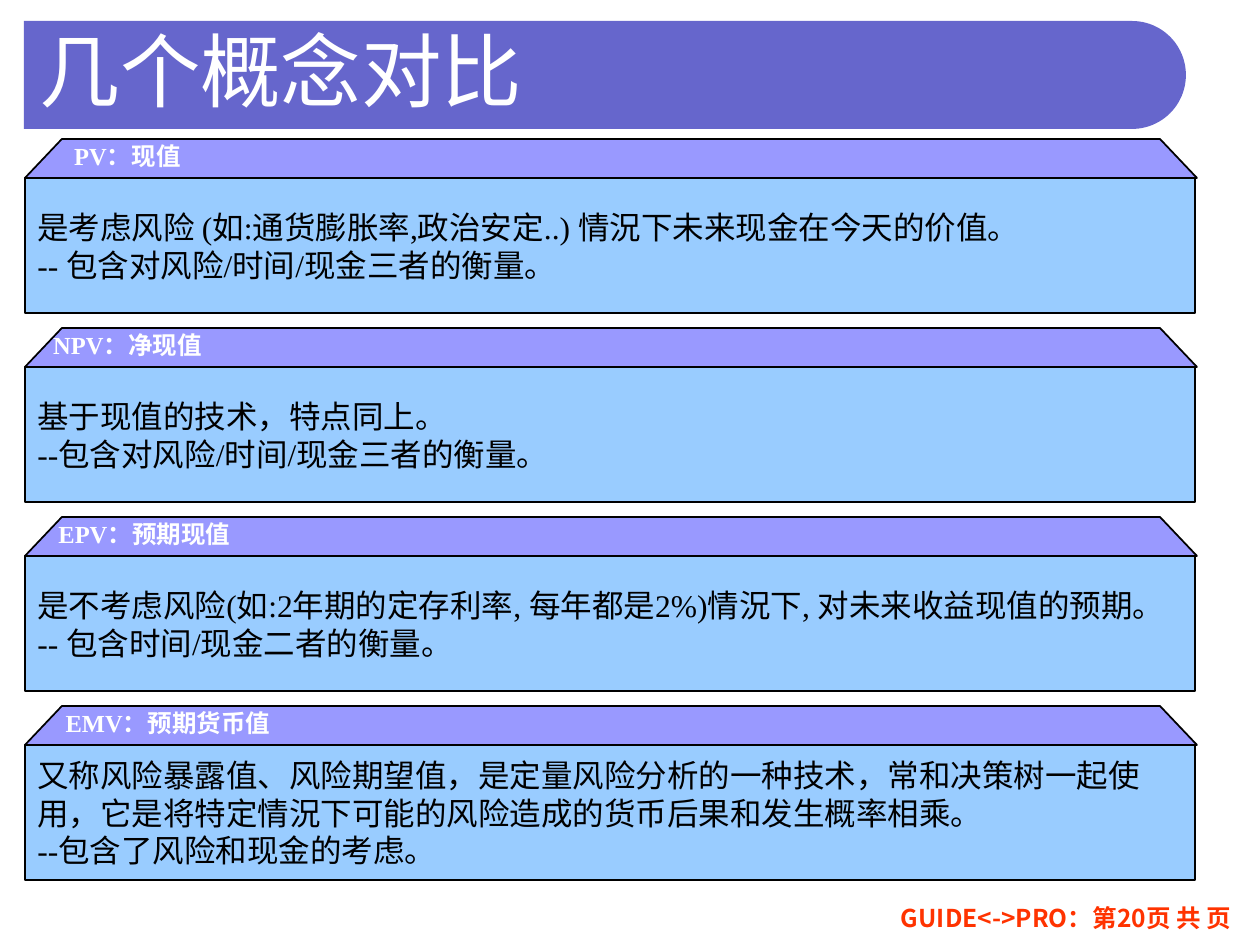
import dataclasses
import math

import pptx
import pptx.dml.color
import pptx.enum.shapes
import pptx.enum.text
import pptx.util

EMU_PER_PX = 914400 / 126
ANCHOR = pptx.enum.text.MSO_ANCHOR
ALIGN = pptx.enum.text.PP_ALIGN


@dataclasses.dataclass(frozen=True)
class Theme:
    banner: str = "6666CC"
    lid: str = "9999FF"
    panel: str = "99CCFF"
    ink: str = "000000"
    light: str = "FFFFFF"
    footer: str = "FF3300"
    title_font: str = "Arial"
    body_font: str = "Times New Roman"
    footer_font: str = "Noto Sans CJK KR"
    title_size: int = 46
    body_size: int = 18
    label_size: int = 14
    line_width: int = 1


THEME = Theme()

# Label, offset and width of its box, paragraphs of the panel
CONCEPTS = [
    ("PV：现值", 34, 137, [
        "是考虑风险 (如:通货膨胀率,政治安定..) 情況下未来现金在今天的价值。",
        "-- 包含对风险/时间/现金三者的衡量。"]),
    ("NPV：净现值", 13, 179, [
        "基于现值的技术，特点同上。",
        "--包含对风险/时间/现金三者的衡量。"]),
    ("EPV：预期现值", 18, 203, [
        "是不考虑风险(如:2年期的定存利率, 每年都是2%)情況下, 对未来收益现值的预期。",
        "-- 包含时间/现金二者的衡量。"]),
    ("EMV：预期货币值", 25, 236, [
        "又称风险暴露值、风险期望值，是定量风险分析的一种技术，常和决策树一起使用，"
        "它是将特定情況下可能的风险造成的货币后果和发生概率相乘。",
        "--包含了风险和现金的考虑。"]),
]


def px(length):
    return pptx.util.Emu(round(length * EMU_PER_PX))


def rgb(value):
    return pptx.dml.color.RGBColor.from_string(value)


def paint(shape, fill, line=None):
    shape.shadow.inherit = False
    shape.fill.solid()
    shape.fill.fore_color.rgb = rgb(fill)
    if line is None:
        shape.line.fill.background()
    else:
        shape.line.color.rgb = rgb(line)
        shape.line.width = pptx.util.Pt(THEME.line_width)


def write(shape, lines, font, size, color, bold=False, align=ALIGN.LEFT,
          anchor=ANCHOR.MIDDLE, wrap=True):
    """Fill a shape with paragraphs whose punctuation stays inside the margins."""
    frame = shape.text_frame
    frame.text = "\n".join(lines)
    frame.word_wrap = wrap
    frame.auto_size = pptx.enum.text.MSO_AUTO_SIZE.NONE
    frame.vertical_anchor = anchor
    for para in frame.paragraphs:
        para.alignment = align
        para._p.get_or_add_pPr().set("hangingPunct", "0")
        for span in para.runs:
            span.font.name = font
            span.font.size = pptx.util.Pt(size)
            span.font.bold = bold
            span.font.color.rgb = rgb(color)


def add_polygon(page, points):
    corners = [(px(x), px(y)) for x, y in points]
    builder = page.shapes.build_freeform(*corners[0], scale=1.0)
    builder.add_line_segments(corners[1:], close=True)
    return builder.convert_to_shape()


def add_label(page, text, left, top, width, height, font, color):
    box = page.shapes.add_textbox(px(left), px(top), px(width), px(height))
    write(box, [text], font, THEME.label_size, color, bold=True,
          align=ALIGN.CENTER, anchor=ANCHOR.TOP, wrap=False)


def add_title(page, left, top, width, height):
    """Title on a banner whose right end is a half circle."""
    radius = height / 2
    steps = 48
    angles = [math.pi * (step / steps - 0.5) for step in range(steps + 1)]
    arc = [(left + width - radius + radius * math.cos(angle),
            top + radius + radius * math.sin(angle)) for angle in angles]
    banner = add_polygon(page, [(left, top), *arc, (left, top + height)])
    paint(banner, THEME.banner)

    title = page.shapes.title
    title.left, title.top = px(left + 3), px(top - 15)
    title.width, title.height = px(width + 18), px(height + 18)
    write(title, ["几个概念对比"], THEME.title_font, THEME.title_size, THEME.light)
    title.element.addprevious(banner.element)


def add_concept(page, left, top, width, height, concept):
    """Bevelled lid with a label, above a panel of text."""
    label, label_offset, label_width, lines = concept
    lid_height, bevel = 39, 37
    panel_top = top + lid_height
    lid = add_polygon(page, [
        (left, panel_top), (left + bevel, top),
        (left + width - bevel, top), (left + width, panel_top)])
    paint(lid, THEME.lid, THEME.ink)

    panel = page.shapes.add_shape(
        pptx.enum.shapes.MSO_SHAPE.RECTANGLE, px(left), px(panel_top),
        px(width - 2), px(height - lid_height))
    paint(panel, THEME.panel, THEME.ink)
    write(panel, lines, THEME.body_font, THEME.body_size, THEME.ink)

    add_label(page, label, left + label_offset, top - 4, label_width,
              lid_height + 4, THEME.body_font, THEME.light)


def main():
    deck = pptx.Presentation()
    deck.slide_width, deck.slide_height = px(1260), px(945)
    page = deck.slides.add_slide(deck.slide_layouts.get_by_name("Title Only"))
    add_title(page, 24, 21, 1162, 108)
    add_label(page, "GUIDE<->PRO：第20页 共 页", 828, 897, 476, 49,
              THEME.footer_font, THEME.footer)
    for index, concept in enumerate(CONCEPTS):
        add_concept(page, 25, 139 + 189 * index, 1172, 174, concept)
    deck.save("out.pptx")


if __name__ == "__main__":
    main()
